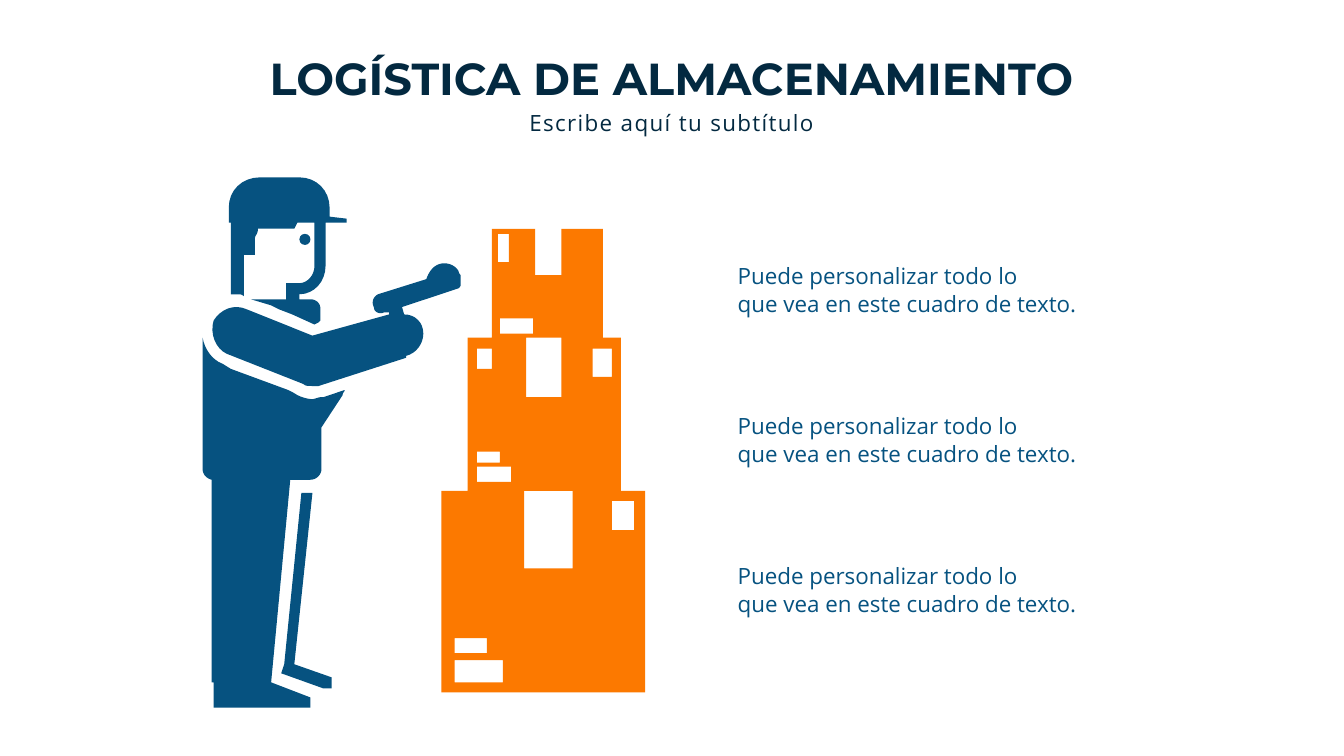
from dataclasses import dataclass

from pptx import Presentation
from pptx.dml.color import RGBColor
from pptx.enum.shapes import MSO_SHAPE
from pptx.enum.text import MSO_ANCHOR, MSO_AUTO_SIZE, PP_ALIGN
from pptx.util import Pt


@dataclass(frozen=True)
class Theme:
    """Colours, fonts and type sizes of the slide."""
    navy: str = "032940"
    blue: str = "065280"
    orange: str = "FC7900"
    heading_font: str = "Montserrat"
    text_font: str = "Open Sans"
    title_size: float = 32
    text_size: float = 16


GRID = 0.72
CURVE_STEPS = 8

TORSO = [
    (319, 394), (316, 394, 312, 396, 310, 396), (305, 396, 299, 394, 295, 392),
    (290, 389), (286, 387), (229, 366), (221, 361), (210, 357, 203, 346, 201, 335),
    (201, 465), (201, 469, 203, 474, 210, 476), (210, 677), (212, 677), (212, 702),
    (308, 702), (308, 692), (269, 677), (288, 476), (308, 476),
    (314, 476, 319, 471, 319, 465), (319, 424), (340, 392),
    (340, 389, 342, 389, 342, 387), (321, 394),
]
BACK_LEG = [
    (292, 659), (310, 489), (299, 489), (282, 659), (279, 668),
    (321, 683), (329, 683), (329, 672),
]
ARM_WITH_SCANNER = [
    (401, 312), (399, 305), (392, 307), (455, 286), (457, 284, 457, 284, 457, 282),
    (457, 273), (455, 271, 455, 269, 455, 269), (451, 262, 442, 260, 436, 262),
    (429, 264, 425, 271, 423, 277), (375, 292), (371, 294, 368, 299, 371, 305),
    (371, 310, 377, 312, 381, 310), (386, 310), (386, 312), (310, 333), (245, 307),
    (232, 301, 219, 307, 212, 318), (208, 331, 214, 346, 225, 351), (301, 381),
    (303, 383, 305, 383, 310, 383), (316, 383), (403, 355), (403, 353),
    (412, 351, 420, 342, 420, 331), (420, 320, 412, 312, 401, 312),
]
HEAD_WITH_CAP = [
    (229, 253), (229, 292), (236, 292), (238, 292, 240, 292, 242, 294), (242, 253),
    (253, 253), (253, 236), (253, 234, 256, 232, 256, 227), (292, 227), (295, 221),
    (312, 221), (312, 264), (312, 273, 305, 281, 297, 281), (284, 281), (284, 297),
    (249, 297), (269, 303), (277, 307), (290, 312), (312, 322), (316, 320), (318, 318),
    (318, 307), (318, 301, 314, 297, 308, 297), (297, 297), (297, 292),
    (312, 292, 323, 279, 323, 264), (323, 221), (344, 221), (344, 217), (327, 215),
    (327, 206), (327, 189, 314, 176, 297, 176), (258, 176),
    (240, 176, 227, 189, 227, 206), (227, 221), (229, 221),
]
BOX_STACK = [
    (616, 487), (616, 335), (598, 335), (598, 227), (557, 227), (557, 273), (531, 273),
    (531, 227), (488, 227), (488, 335), (464, 335), (464, 487), (438, 487), (438, 687),
    (640, 687), (640, 487),
]
BOX_MARKS = [
    (522, 335, 557, 394), (496, 316, 529, 331), (494, 232, 505, 260),
    (473, 346, 488, 366), (473, 448, 496, 459), (451, 633, 483, 648),
    (451, 655, 499, 677), (473, 463, 507, 478), (520, 487, 568, 564),
    (588, 346, 607, 374), (607, 497, 629, 526),
]


def rectangle(left, top, right, bottom):
    """Return the corners of a rectangular outline."""
    return [(left, top), (right, top), (right, bottom), (left, bottom)]


def flatten(outline):
    """Turn corners and cubic curves into points measured in Pt."""
    points = [outline[0]]
    for segment in outline[1:]:
        if len(segment) == 2:
            points.append(segment)
            continue
        x0, y0 = points[-1]
        x1, y1, x2, y2, x3, y3 = segment
        for step in range(1, CURVE_STEPS + 1):
            t = step / CURVE_STEPS
            a, b, c, d = (1 - t) ** 3, 3 * t * (1 - t) ** 2, 3 * t * t * (1 - t), t ** 3
            points.append((a * x0 + b * x1 + c * x2 + d * x3,
                           a * y0 + b * y1 + c * y2 + d * y3))
    return [(Pt(x * GRID), Pt(y * GRID)) for x, y in points]


class SlideBuilder:
    """Adds styled elements to one slide."""

    def __init__(self, slide, theme):
        """Keep the slide and its theme."""
        self.slide = slide
        self.theme = theme

    def set_text(self, shape, box, lines, font, size, color, bold=False,
                 align=PP_ALIGN.LEFT, anchor=MSO_ANCHOR.MIDDLE, spacing=0):
        """Place a shape and fill it with formatted paragraphs."""
        shape.left, shape.top, shape.width, shape.height = map(Pt, box)
        frame = shape.text_frame
        frame.word_wrap = True
        frame.auto_size = MSO_AUTO_SIZE.NONE
        frame.vertical_anchor = anchor
        frame.text = "\n".join(lines)
        for index, paragraph in enumerate(frame.paragraphs):
            paragraph.alignment = align
            paragraph.space_before = Pt(0.5 if index else 0)
            paragraph.font.name = font
            paragraph.font.size = Pt(size)
            paragraph.font.bold = bold
            paragraph.font.color.rgb = RGBColor.from_string(color)
            if spacing:
                properties = paragraph.runs[0]._r.get_or_add_rPr()
                properties.set("spc", str(spacing * 100))
        return frame

    def title(self, text, box):
        """Fill the title placeholder."""
        frame = self.set_text(self.slide.shapes.title, box, [text], self.theme.heading_font,
                              self.theme.title_size, self.theme.navy, bold=True,
                              align=PP_ALIGN.CENTER, anchor=MSO_ANCHOR.TOP)
        frame.margin_left = frame.margin_right = Pt(0)
        frame.margin_top = frame.margin_bottom = Pt(0)

    def subtitle(self, text, box):
        """Fill the subtitle placeholder with letterspaced text."""
        self.set_text(self.slide.placeholders[1], box, [text], self.theme.text_font,
                      self.theme.text_size, self.theme.navy, align=PP_ALIGN.CENTER, spacing=1)

    def text(self, lines, box):
        """Add a text box."""
        shape = self.slide.shapes.add_textbox(*map(Pt, box))
        self.set_text(shape, box, lines, self.theme.text_font,
                      self.theme.text_size, self.theme.blue)

    def paint(self, shape, color):
        """Give a shape a flat fill without line or shadow."""
        shape.shadow.inherit = False
        shape.fill.solid()
        shape.fill.fore_color.rgb = RGBColor.from_string(color)
        shape.line.fill.background()

    def silhouette(self, outline, color, holes=()):
        """Add a filled outline with optional holes."""
        points = flatten(outline)
        builder = self.slide.shapes.build_freeform(*points[0], scale=1.0)
        builder.add_line_segments(points[1:], close=True)
        for hole in holes:
            corners = flatten(hole)
            builder.move_to(*corners[0])
            builder.add_line_segments(corners[1:], close=True)
        self.paint(builder.convert_to_shape(), color)

    def dot(self, box, color):
        """Add a filled ellipse."""
        self.paint(self.slide.shapes.add_shape(MSO_SHAPE.OVAL, *map(Pt, box)), color)


def main():
    """Build the warehouse logistics slide."""
    presentation = Presentation()
    presentation.slide_width, presentation.slide_height = Pt(960), Pt(540)
    theme = Theme()
    builder = SlideBuilder(presentation.slides.add_slide(presentation.slide_layouts[0]), theme)
    builder.title("LOGÍSTICA DE ALMACENAMIENTO", (147.6, 36, 664.56, 51.84))
    builder.subtitle("Escribe aquí tu subtítulo", (299.52, 74.16, 360.72, 26.64))
    for outline in (TORSO, BACK_LEG, ARM_WITH_SCANNER, HEAD_WITH_CAP):
        builder.silhouette(outline, theme.blue)
    builder.dot((213.84, 167.04, 7.92, 7.92), theme.blue)
    builder.silhouette(BOX_STACK, theme.orange, [rectangle(*mark) for mark in BOX_MARKS])
    for row in range(3):
        builder.text(["Puede personalizar todo lo", "que vea en este cuadro de texto."],
                     (519.84, 182.16 + 107 * row, 424.08, 49.68))
    presentation.save("out.pptx")


if __name__ == "__main__":
    main()
